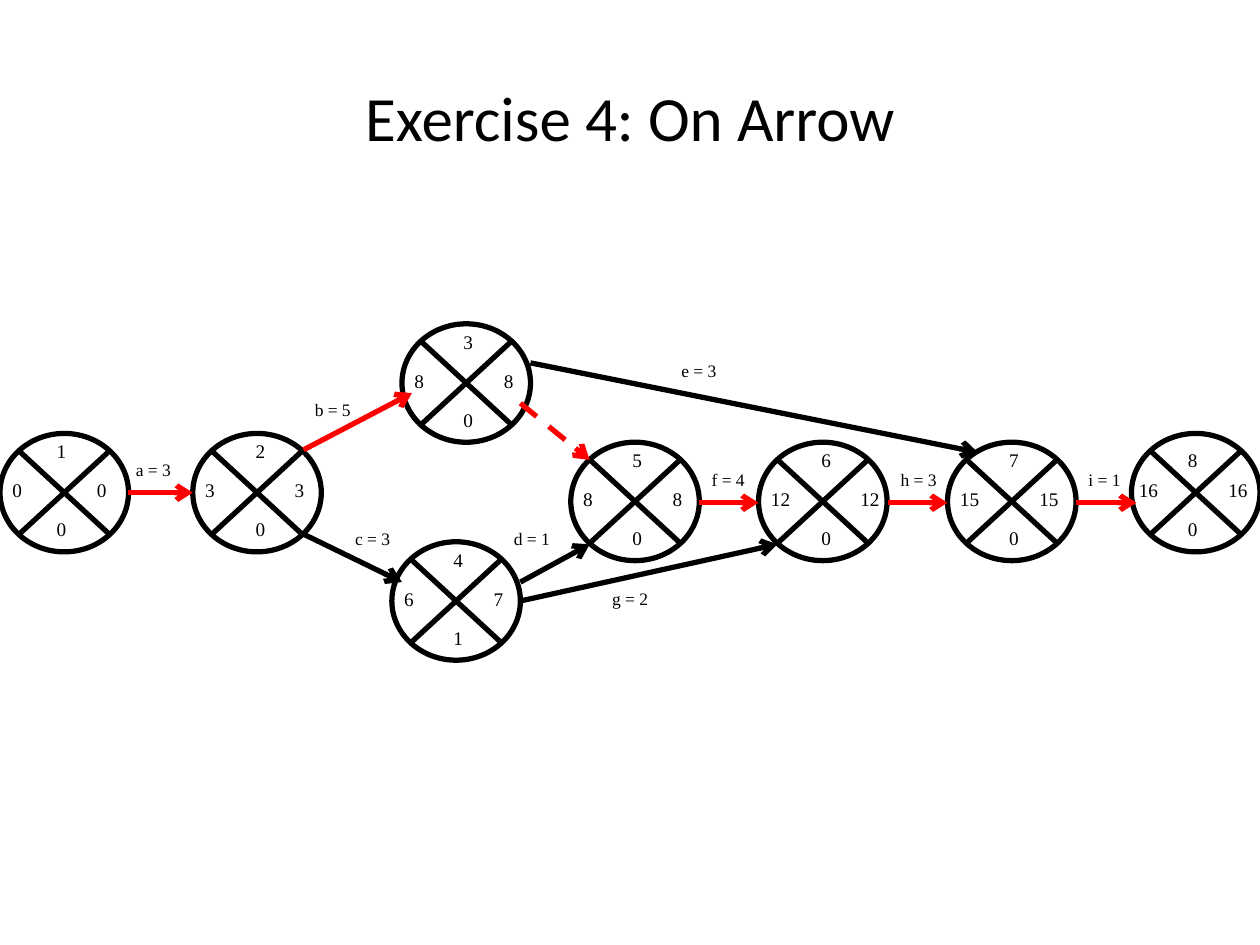
from lxml.etree import SubElement
from pptx import Presentation
from pptx.dml.color import RGBColor
from pptx.enum.dml import MSO_LINE
from pptx.enum.shapes import MSO_CONNECTOR, MSO_SHAPE
from pptx.enum.text import MSO_ANCHOR, MSO_AUTO_SIZE, PP_ALIGN
from pptx.oxml.ns import qn
from pptx.util import Inches, Pt

COLOURS = {"black": "000000", "critical": "FF0000"}
TITLE = "Exercise 4: On Arrow"
NODE_WIDTH, NODE_HEIGHT = 1.02, 0.94
LABEL_HEIGHT = 0.29

# left, top, event number, earliest, latest, slack,
# then offsets of the middle column, the right column and the number
NODES = [
    (0, 3.44, "1", "0", "0", "0", 0.35, 0.67, 0),
    (1.53, 3.44, "2", "3", "3", "0", 0.4, 0.71, 0),
    (3.19, 2.57, "3", "8", "8", "0", 0.39, 0.71, 0),
    (3.11, 4.3, "4", "6", "7", "1", 0.39, 0.71, 0),
    (4.53, 3.51, "5", "8", "8", "0", 0.39, 0.71, 0),
    (6.02, 3.51, "6", "12", "12", "0", 0.4, 0.71, 0),
    (7.52, 3.51, "7", "15", "15", "0", 0.39, 0.63, 0),
    (8.98, 3.44, "8", "16", "16", "0", 0.35, 0.67, 0.07),
]

# start, end, colour, dashed
ARROWS = [
    ((1.02, 3.91), (1.53, 3.91), "critical", False),
    ((2.41, 3.57), (3.27, 3.12), "critical", False),
    ((2.41, 4.24), (3.19, 4.62), "black", False),
    ((4.13, 4.62), (4.68, 4.32), "black", False),
    ((4.13, 3.2), (4.68, 3.65), "critical", True),
    ((5.55, 3.99), (6.02, 3.99), "critical", False),
    ((7.05, 3.99), (7.52, 3.99), "critical", False),
    ((8.54, 3.99), (9.02, 3.99), "critical", False),
    ((4.21, 2.88), (7.76, 3.59), "black", False),
    ((4.13, 4.77), (6.17, 4.32), "black", False),
]

ACTIVITIES = [
    ("a = 3", 0.98, 3.59), ("b = 5", 2.4, 3.12), ("c = 3", 2.72, 4.14),
    ("d = 1", 3.98, 4.14), ("e = 3", 5.31, 2.81), ("f = 4", 5.55, 3.67),
    ("g = 2", 4.76, 4.62), ("h = 3", 7.05, 3.67), ("i = 1", 8.54, 3.67),
]


def colour(name):
    return RGBColor.from_string(COLOURS[name])


def write(shape, text, size, font="Times New Roman", align=PP_ALIGN.LEFT):
    paragraph = shape.text_frame.paragraphs[0]
    paragraph.alignment = align
    run = paragraph.add_run()
    run.text = text
    run.font.size = Pt(size)
    run.font.name = font
    run.font.color.rgb = colour("black")


def add_label(slide, text, left, top, width, height=LABEL_HEIGHT, size=11):
    box = slide.shapes.add_textbox(
        Inches(left), Inches(top), Inches(width), Inches(height))
    frame = box.text_frame
    frame.word_wrap = True
    frame.auto_size = MSO_AUTO_SIZE.SHAPE_TO_FIT_TEXT
    frame.margin_right = 0
    write(box, text, size)


def add_circle(slide, left, top):
    circle = slide.shapes.add_shape(
        MSO_SHAPE.FLOWCHART_SUMMING_JUNCTION, Inches(left), Inches(top),
        Inches(NODE_WIDTH), Inches(NODE_HEIGHT))
    circle.shadow.inherit = False
    circle.fill.background()
    circle.line.color.rgb = colour("black")
    circle.line.width = Pt(3)


def add_node_labels(slide, node):
    left, top, number, earliest, latest, slack, middle, right, drop = node
    labels = [
        (number, middle, drop),
        (earliest, -0.04 if left > 8.9 else 0, 0.31),
        (latest, right, 0.31),
        (slack, middle, 0.62),
    ]
    for text, across, down in labels:
        width = 0.31 if len(text) == 1 else min(0.39, 10 - left - across)
        add_label(slide, text, left + across, top + down, width)


def add_arrow(slide, start, end, colour_name, dashed):
    arrow = slide.shapes.add_connector(
        MSO_CONNECTOR.STRAIGHT, *(Inches(value) for value in start + end))
    arrow.line.color.rgb = colour(colour_name)
    arrow.line.width = Pt(3)
    if dashed:
        arrow.line.dash_style = MSO_LINE.DASH
    properties = arrow._element.spPr
    SubElement(properties.find(qn("a:ln")), qn("a:tailEnd"), type="arrow")
    SubElement(properties, qn("a:effectLst"))


def main():
    presentation = Presentation()
    presentation.slide_width, presentation.slide_height = Inches(10), Inches(7.5)
    slide = presentation.slides.add_slide(presentation.slide_layouts[5])

    title = slide.shapes.title
    title.left, title.top = Inches(0.5), Inches(0.3)
    title.width, title.height = Inches(9), Inches(1.25)
    title.text_frame.vertical_anchor = MSO_ANCHOR.MIDDLE
    write(title, TITLE, 36, font="Calibri", align=PP_ALIGN.CENTER)

    for left, top, *_ in NODES:
        add_circle(slide, left, top)
    for text, left, top in ACTIVITIES:
        add_label(slide, text, left, top, 0.63, height=0.27, size=10)
    for arrow in ARROWS:
        add_arrow(slide, *arrow)
    for node in NODES:
        add_node_labels(slide, node)

    presentation.save("out.pptx")


if __name__ == "__main__":
    main()
